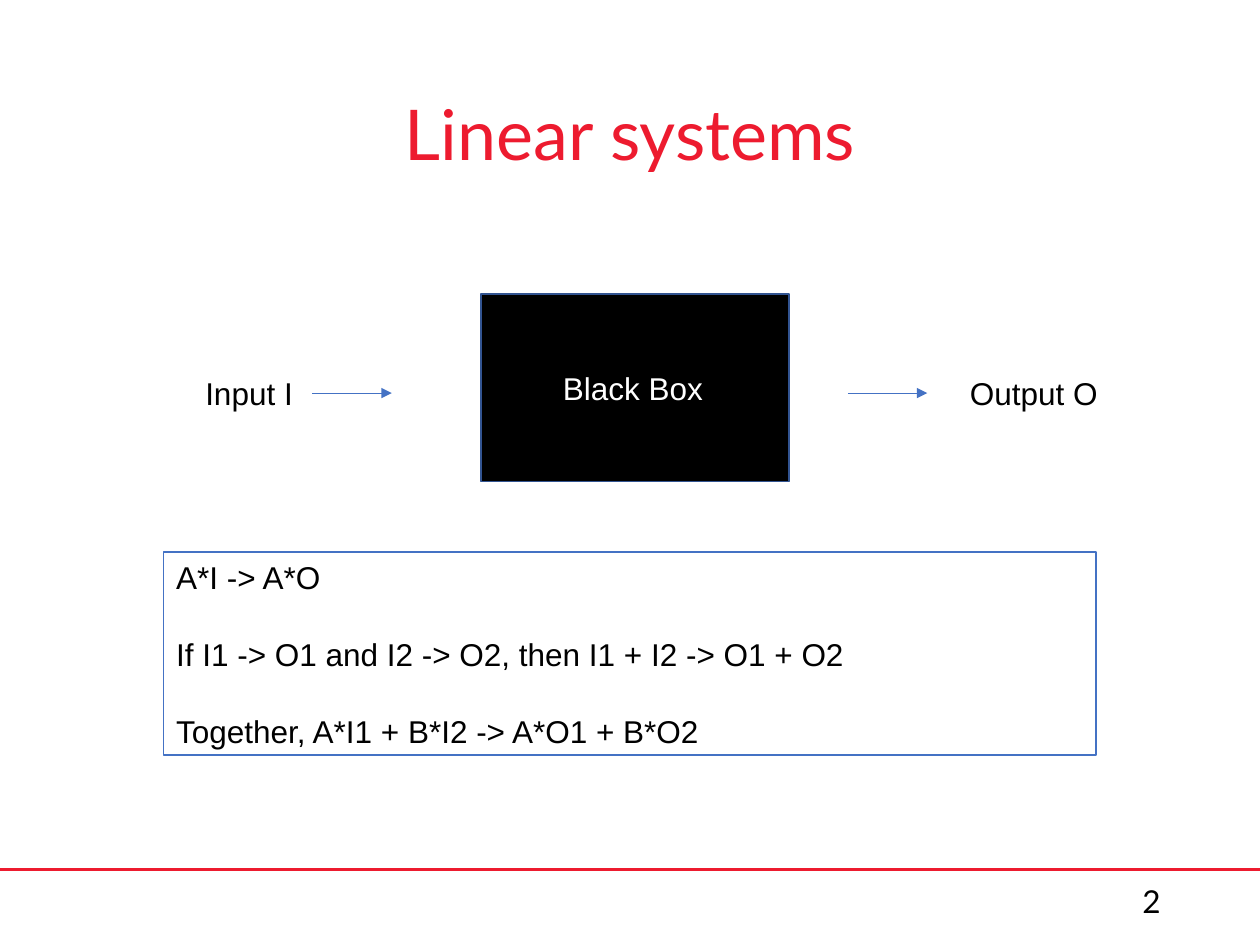
"""Build the slide that explains linear systems with a black box diagram."""
from lxml import etree
from pptx import Presentation
from pptx.dml.color import RGBColor
from pptx.enum.shapes import MSO_CONNECTOR, MSO_SHAPE
from pptx.enum.text import MSO_ANCHOR, PP_ALIGN
from pptx.oxml.ns import qn
from pptx.util import Pt

STRAIGHT = MSO_CONNECTOR.STRAIGHT
RECTANGLE = MSO_SHAPE.RECTANGLE
TOP, MIDDLE = MSO_ANCHOR.TOP, MSO_ANCHOR.MIDDLE
LEFT, CENTER, RIGHT = PP_ALIGN.LEFT, PP_ALIGN.CENTER, PP_ALIGN.RIGHT

COLORS = {
    "red": "ED1B2F",
    "black": "000000",
    "white": "FFFFFF",
    "blue": "4472C4",
    "navy": "325491",
}
RULES = [
    "A*I -> A*O",
    "If I1 -> O1 and I2 -> O2, then I1 + I2 -> O1 + O2",
    "Together, A*I1 + B*I2 -> A*O1 + B*O2",
]


def color(name):
    return RGBColor.from_string(COLORS[name])


def write(box, lines, ink="black", font="Arial", size=18, align=LEFT,
          anchor=TOP, gap=0, spacing=1.0):
    frame = box.text_frame
    frame.word_wrap = True
    frame.vertical_anchor = anchor
    for index, line in enumerate(lines):
        para = frame.add_paragraph() if index else frame.paragraphs[0]
        para.alignment = align
        para.line_spacing = spacing
        para.space_before = Pt(gap if index else 0)
        span = para.add_run()
        span.text = line
        span.font.name = font
        span.font.size = Pt(size)
        span.font.color.rgb = color(ink)


def add_text(page, text, left, top, width, height, **style):
    box = page.shapes.add_textbox(Pt(left), Pt(top), Pt(width), Pt(height))
    write(box, [text], **style)


def add_box(page, left, top, width, height, line, weight, fill=None):
    box = page.shapes.add_shape(RECTANGLE, Pt(left), Pt(top), Pt(width), Pt(height))
    box.shadow.inherit = False
    if fill:
        box.fill.solid()
        box.fill.fore_color.rgb = color(fill)
    else:
        box.fill.background()
    box.line.color.rgb = color(line)
    box.line.width = Pt(weight)
    return box


def add_line(page, start, end, y, ink, weight, arrow=False):
    line = page.shapes.add_connector(STRAIGHT, Pt(start), Pt(y), Pt(end), Pt(y))
    line.line.color.rgb = color(ink)
    line.line.width = Pt(weight)
    if arrow:
        outline = line.line._get_or_add_ln()
        etree.SubElement(outline, qn("a:tailEnd"), type="triangle")
    etree.SubElement(line._element.spPr, qn("a:effectLst"))


def add_diagram(page):
    add_box(page, 275, 167.8, 176, 107.3, "navy", 1, fill="black")
    for start in (178.5, 484.5):
        add_line(page, start, start + 45.4, 224.6, "blue", 0.5, arrow=True)
    add_text(page, "Input I", 110.2, 210.2, 68.4, 29)
    add_text(page, "Output O", 547.2, 210.2, 90.7, 29)
    add_text(page, "Black Box", 314.6, 207.4, 108, 29, ink="white")


def main():
    deck = Presentation()
    deck.slide_width, deck.slide_height = Pt(720), Pt(540)
    page = deck.slides.add_slide(deck.slide_layouts[6])
    add_line(page, -14.4, 725.8, 496.8, "red", 2)
    add_text(page, "Linear systems", 49.7, 26.6, 620.6, 104.4, ink="red",
             font="Lato", size=40, align=CENTER, anchor=MIDDLE, spacing=0.9)
    add_text(page, "2", 508.3, 500.4, 162, 28.8, font="Lato", align=RIGHT)
    add_diagram(page)
    rules_box = add_box(page, 93.6, 315.4, 532.8, 116, "blue", 0.75)
    write(rules_box, RULES, gap=22.4)
    deck.save("out.pptx")


main()
